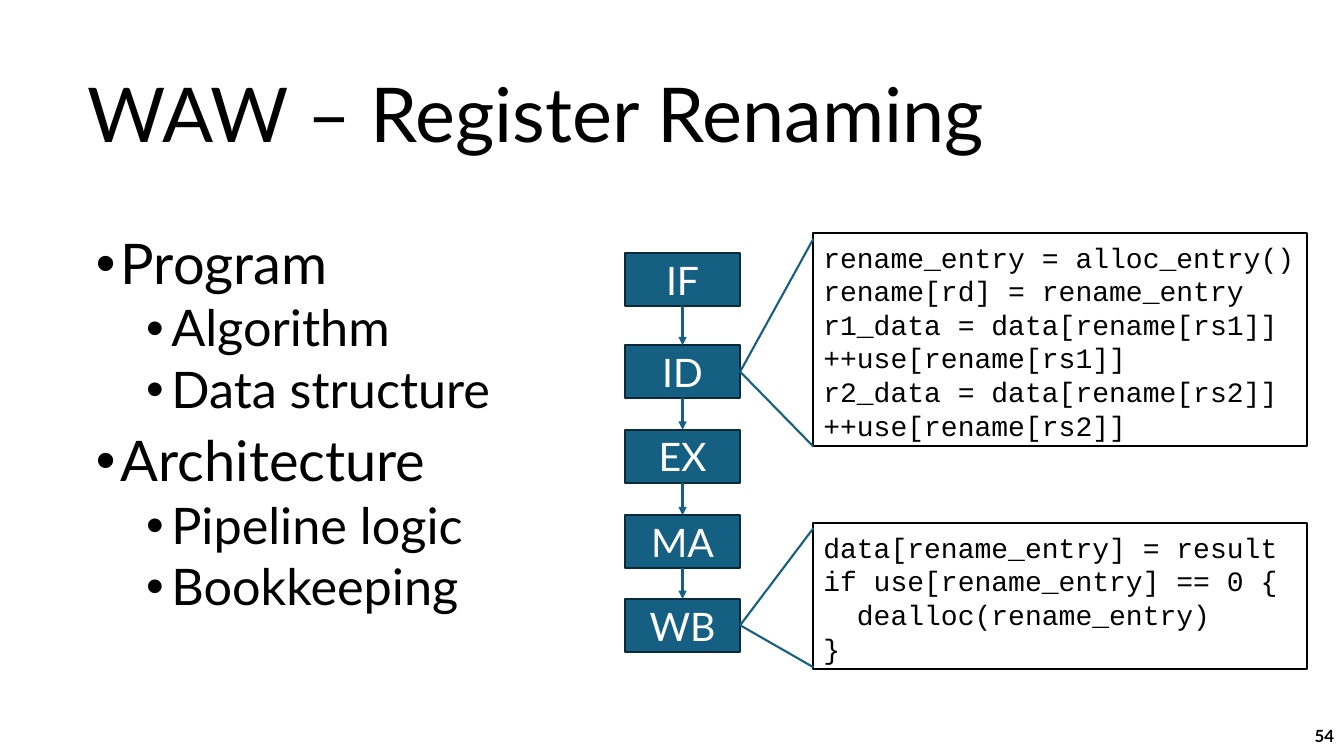
from pptx import Presentation
from pptx.dml.color import RGBColor as RGB
from pptx.enum.shapes import MSO_CONNECTOR as Link, MSO_SHAPE as Form
from pptx.enum.text import MSO_ANCHOR as Anchor, MSO_AUTO_SIZE as Auto, PP_ALIGN as Align
from pptx.oxml.ns import qn
from pptx.util import Pt
from lxml.etree import SubElement as Sub

BLACK = RGB(0x00, 0x00, 0x00)
WHITE = RGB(0xFF, 0xFF, 0xFF)
TEAL = RGB(0x15, 0x60, 0x82)
NAVY = RGB(0x09, 0x2A, 0x39)

deck = Presentation()
deck.slide_width, deck.slide_height = Pt(960), Pt(540)
slide = deck.slides.add_slide(deck.slide_layouts[1])
shapes = slide.shapes


def add_box(left, top, width, height, fill, edge):
    box = shapes.add_shape(Form.RECTANGLE, Pt(left), Pt(top), Pt(width), Pt(height))
    box.shadow.inherit = False
    box.fill.solid()
    box.fill.fore_color.rgb = fill
    box.line.color.rgb = edge
    box.line.width = Pt(1.5)
    return box


def add_link(x1, y1, x2, y2):
    link = shapes.add_connector(Link.STRAIGHT, Pt(x1), Pt(y1), Pt(x2), Pt(y2))
    link.line.color.rgb = TEAL
    link.line.width = Pt(1.5)
    Sub(link._element.spPr, qn("a:effectLst"))
    return link


title = shapes.title
title.left, title.top, title.width, title.height = Pt(55.4), Pt(32.4), Pt(828), Pt(104.4)
title.text_frame.text = "WAW – Register Renaming"
title.text_frame.auto_size = Auto.NONE
title.text_frame.vertical_anchor = Anchor.MIDDLE
para = title.text_frame.paragraphs[0]
para.alignment = Align.LEFT
para.line_spacing = 0.9
para.font.name, para.font.size = "Lato", Pt(54)
para.font.color.rgb = BLACK

body = slide.placeholders[1]
body.left, body.top, body.width, body.height = Pt(61.2), Pt(164.9), Pt(317.5), Pt(342.7)
frame = body.text_frame
frame.auto_size = Auto.NONE
topics = [
    (0, "Program"), (1, "Algorithm"), (1, "Data structure"),
    (0, "Architecture"), (1, "Pipeline logic"), (1, "Bookkeeping"),
]
for row, (level, text) in enumerate(topics):
    para = frame.add_paragraph() if row else frame.paragraphs[0]
    para.text = text
    para.level = level
    props = para._p.get_or_add_pPr()
    props.set("marL", str(Pt(18 + 36 * level)))
    props.set("indent", str(Pt(-18)))
    Sub(props, qn("a:buFont"), typeface="Arial")
    Sub(props, qn("a:buChar"), char="•")
    para.line_spacing = 0.9
    para.space_before = Pt((5 if level else 10) if row else 0)
    para.font.name, para.font.size = "Lato", Pt(36 if level else 40)
    para.font.color.rgb = BLACK

page = shapes.add_textbox(Pt(744), Pt(511.2), Pt(216), Pt(28.8)).text_frame
page.word_wrap = True
page.vertical_anchor = Anchor.MIDDLE
para = page.paragraphs[0]
para.text = "54"
para.alignment = Align.RIGHT
para.font.name, para.font.size, para.font.bold = "Lato", Pt(12), True
para.font.color.rgb = BLACK

stages = [("IF", 180.9), ("ID", 246.6), ("EX", 307), ("MA", 368), ("WB", 427.9)]
prev = None
for name, top in stages:
    box = add_box(446.4, top, 82.3, 37.8, TEAL, NAVY)
    frame = box.text_frame
    frame.vertical_anchor = Anchor.MIDDLE
    para = frame.paragraphs[0]
    para.text = name
    para.alignment = Align.CENTER
    para.font.name, para.font.size = "Lato", Pt(28)
    para.font.color.rgb = WHITE
    if prev:
        arrow = add_link(0, 0, 0, 0)
        arrow.begin_connect(prev, 2)
        arrow.end_connect(box, 0)
        Sub(arrow.line._get_or_add_ln(), qn("a:tailEnd"), type="triangle")
    prev = box

notes = [
    (166.3, 152.6, 265.5, (170.6, 319), [
        "rename_entry = alloc_entry()",
        "rename[rd] = rename_entry",
        "r1_data = data[rename[rs1]]",
        "++use[rename[rs1]]",
        "r2_data = data[rename[rs2]]",
        "++use[rename[rs2]]",
    ]),
    (373.5, 104.4, 446.6, (377.3, 476.6), [
        "data[rename_entry] = result",
        "if use[rename_entry] == 0 {",
        "  dealloc(rename_entry)",
        "}",
    ]),
]
for top, height, mid, ends, code in notes:
    frame = add_box(581, top, 352.8, height, WHITE, BLACK).text_frame
    frame.word_wrap = True
    frame.vertical_anchor = Anchor.TOP
    frame.margin_top = Pt(5.2)
    for row, text in enumerate(code):
        para = frame.add_paragraph() if row else frame.paragraphs[0]
        para.text = text
        para.alignment = Align.LEFT
        para.line_spacing = Pt(24)
        para.font.name, para.font.size = "Courier New", Pt(20)
        para.font.color.rgb = BLACK
    for end in ends:
        add_link(528.7, mid, 581, end)

deck.save("out.pptx")
